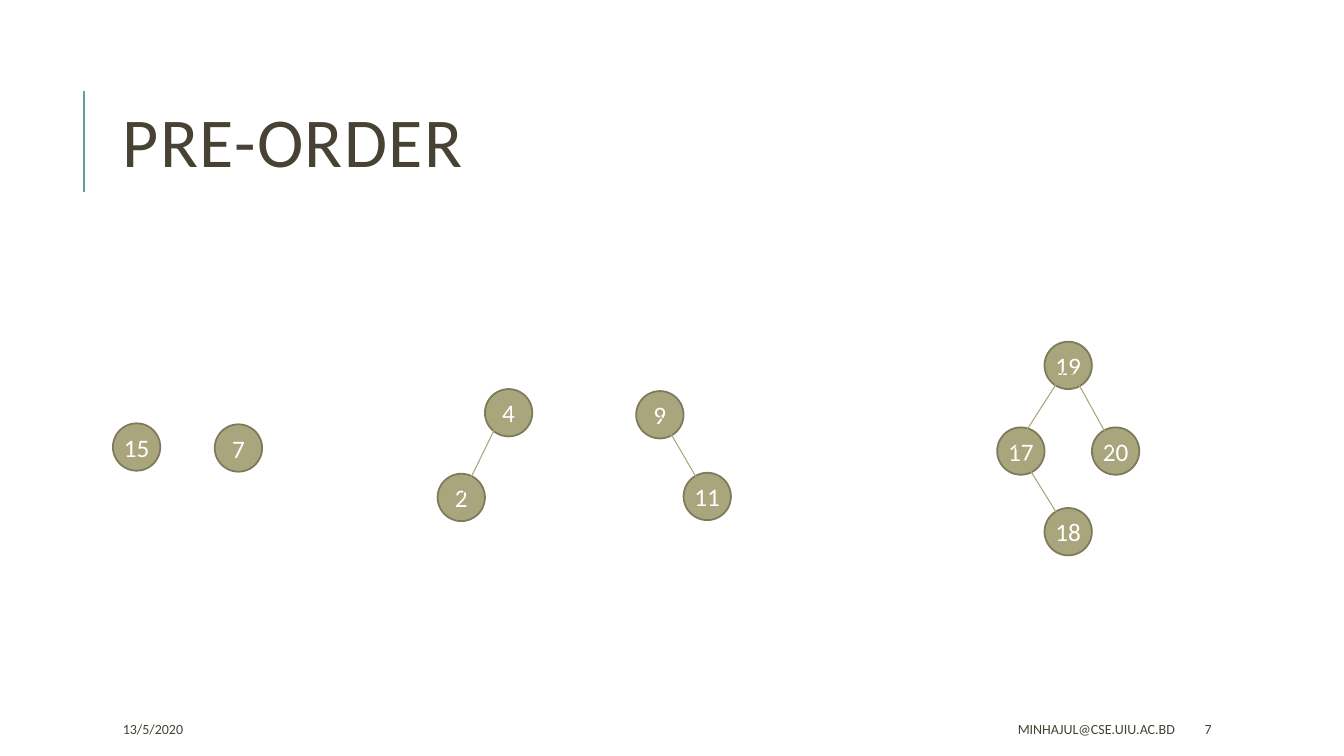
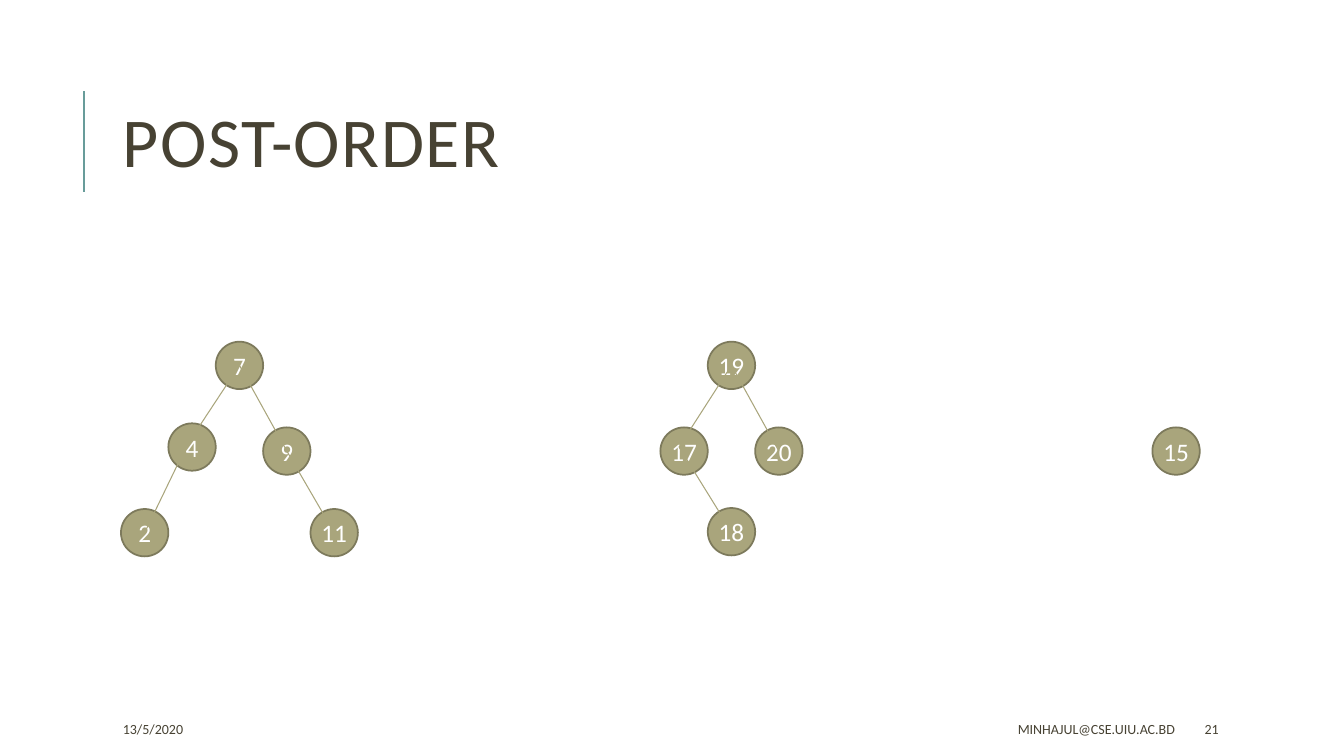
"""Build two slides of binary trees split around a traversal order."""
from pptx import Presentation
from pptx.dml.color import RGBColor
from pptx.enum import shapes, text
from pptx.oxml.ns import qn
from pptx.util import Inches, Pt
from lxml import etree

FONT = "Calibri"
INK, ACCENT, NODE, RIM, WHITE = "474233", "689C9A", "A9A57C", "7D7A5C", "FFFFFF"
DATE, CONTACT = "13/5/2020", "MINHAJUL@CSE.UIU.AC.BD"
LEFT, RIGHT = text.PP_ALIGN.LEFT, text.PP_ALIGN.RIGHT

DIAMETER = 0.47
FOOTER_TOP, FOOTER_HEIGHT = 7.08, 0.3
JOINT_SHIFT = {"4": (-0.05, -0.02), "17": (-0.05, -0.04)}

# Each tree: left edge, nodes as label: (column, top), edges as (parent, child).
RIGHT_NODES = {"19": (1, 3.39), "17": (0, 4.24), "20": (2, 4.24), "18": (1, 5.04)}
RIGHT_EDGES = [("19", "17"), ("19", "20"), ("17", "18")]
SLIDES = [
    ("PRE-ORDER", "7", [
        (1.12, {"15": (0, 4.2)}, []),
        (2.13, {"7": (0, 4.21)}, []),
        (4.34, {"4": (1, 3.86), "2": (0, 4.7)}, [("4", "2")]),
        (6.31, {"9": (0, 3.88), "11": (1, 4.69)}, [("9", "11")]),
        (9.89, RIGHT_NODES, RIGHT_EDGES),
    ]),
    ("POST-ORDER", "21", [
        (1.2, {"7": (2, 3.39), "4": (1, 4.2), "9": (3, 4.24), "2": (0, 5.05), "11": (4, 5.05)},
         [("7", "4"), ("7", "9"), ("4", "2"), ("9", "11")]),
        (6.55, RIGHT_NODES, RIGHT_EDGES),
        (11.43, {"15": (0, 4.24)}, []),
    ]),
]


def color(value):
    return RGBColor.from_string(value)


def write(frame, words, size, ink, align):
    frame.text = words
    frame.vertical_anchor = text.MSO_ANCHOR.MIDDLE
    paragraph = frame.paragraphs[0]
    paragraph.alignment = align
    run = paragraph.runs[0]
    run.font.name, run.font.size = FONT, Pt(size)
    run.font.color.rgb = color(ink)
    return paragraph, run


def add_label(slide, words, box, size, align=LEFT):
    frame = slide.shapes.add_textbox(*map(Inches, box)).text_frame
    frame.word_wrap = True
    return write(frame, words, size, INK, align)


def add_line(slide, start, end, ink, width):
    line = slide.shapes.add_connector(
        shapes.MSO_CONNECTOR.STRAIGHT, *map(Inches, (*start, *end)))
    line.line.color.rgb = color(ink)
    line.line.width = Pt(width)
    etree.SubElement(line._element.spPr, qn("a:effectLst"))


def add_frame(slide, title, number):
    add_line(slide, (0.83, 1.9), (0.83, 0.9), ACCENT, 1.5)
    heading, run = add_label(slide, title, (1.12, 0.64, 10.63, 1.64), 50)
    heading.line_spacing = 0.8
    run.font._element.set("spc", "100")
    for words, left, width, align in [
            (DATE, 1.12, 2.36, LEFT), (CONTACT, 5.3, 6.45, RIGHT), (number, 11.85, 1.06, LEFT)]:
        add_label(slide, words, (left, FOOTER_TOP, width, FOOTER_HEIGHT), 10, align)


def add_node(slide, label, left, top):
    node = slide.shapes.add_shape(
        shapes.MSO_SHAPE.OVAL, *map(Inches, (left, top, DIAMETER, DIAMETER)))
    node.shadow.inherit = False
    node.fill.solid()
    node.fill.fore_color.rgb = color(NODE)
    node.line.color.rgb = color(RIM)
    node.line.width = Pt(1.25)
    frame = node.text_frame
    frame.margin_left = frame.margin_right = frame.margin_top = frame.margin_bottom = 0
    write(frame, label, 18, WHITE, text.PP_ALIGN.CENTER)


def add_tree(slide, left, nodes, edges):
    joints = {}
    for label, (column, top) in nodes.items():
        x = left + column * DIAMETER
        add_node(slide, label, x, top)
        dx, dy = JOINT_SHIFT.get(label, (0, 0))
        joints[label] = (x + DIAMETER / 2 + dx, top + DIAMETER / 2 + dy)
    for parent, child in edges:
        add_line(slide, joints[parent], joints[child], NODE, 0.75)


def main():
    deck = Presentation()
    deck.slide_width, deck.slide_height = Inches(13.33), Inches(7.5)
    for title, number, trees in SLIDES:
        slide = deck.slides.add_slide(deck.slide_layouts[6])
        add_frame(slide, title, number)
        for tree in trees:
            add_tree(slide, *tree)
    deck.save("out.pptx")


if __name__ == "__main__":
    main()
